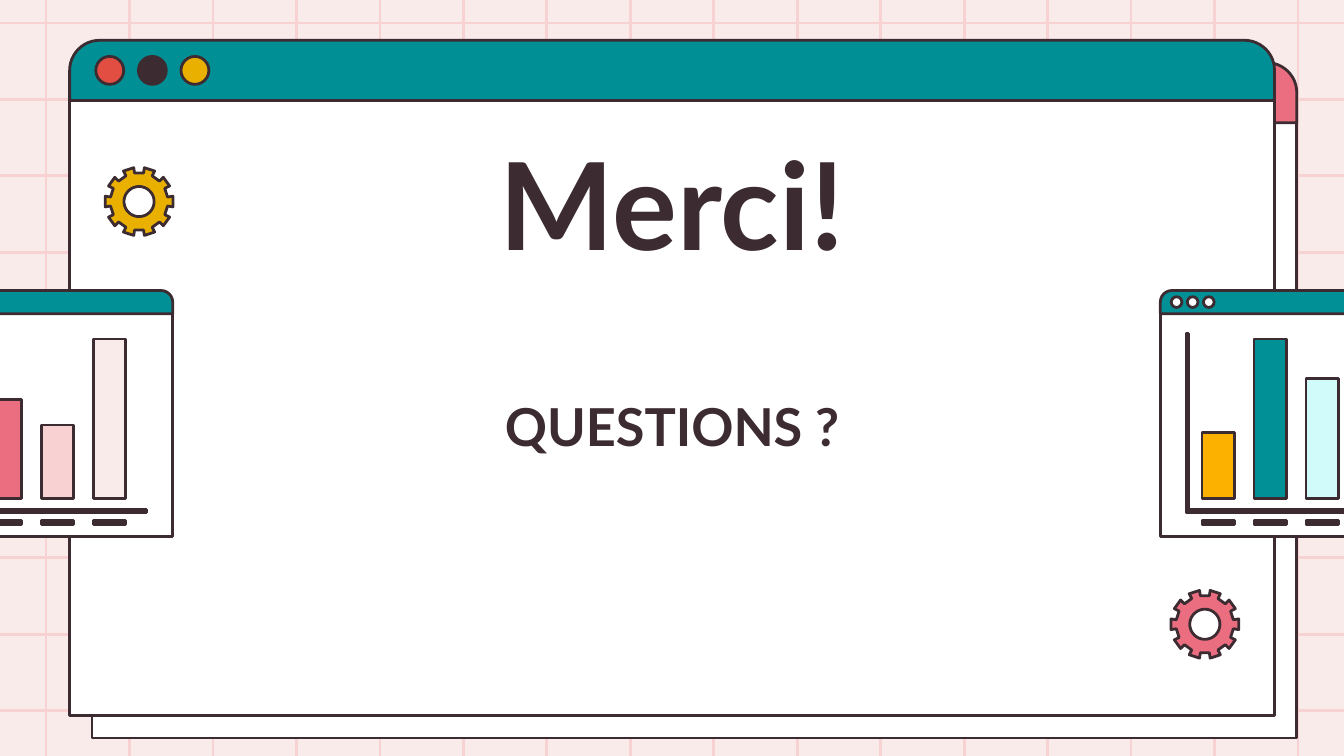
from dataclasses import dataclass
from math import cos, radians, sin

from lxml.etree import SubElement
from pptx import Presentation
from pptx.dml.color import RGBColor
from pptx.enum.shapes import MSO_CONNECTOR, MSO_SHAPE
from pptx.enum.text import MSO_ANCHOR, PP_ALIGN
from pptx.oxml.ns import qn
from pptx.util import Emu, Inches, Pt

SLIDE_W = Inches(10)
SLIDE_H = Emu(SLIDE_W * 9 // 16)
CELL = SLIDE_W / 100


@dataclass(frozen=True)
class Theme:
    ink: str = "3C2C31"
    axis: str = "3E282C"
    paper: str = "FAEBEB"
    grid: str = "F8D2D2"
    white: str = "FFFFFF"
    teal: str = "008F95"
    chart_teal: str = "009096"
    aqua: str = "D1FAFB"
    pink: str = "EB6E80"
    red: str = "E24E42"
    yellow: str = "E9B000"
    amber: str = "FCB100"
    font: str = "Lato"
    title: float = 65
    subtitle: float = 28
    line: float = 1.5


@dataclass(frozen=True)
class Window:
    left: float
    top: float
    width: float
    bar: float
    body: float
    color: str


@dataclass(frozen=True)
class Dots:
    colors: tuple[str, ...]
    left: float
    top: float
    size: float
    pitch: float


@dataclass(frozen=True)
class Bar:
    slot: int
    height: float
    color: str


T = Theme()


def cells(n: float) -> Emu:
    return Emu(round(n * CELL))


def rgb(color: str) -> RGBColor:
    return RGBColor.from_string(color)


def paint(sp, color: str) -> None:
    sp.shadow.inherit = False
    sp.fill.solid()
    sp.fill.fore_color.rgb = rgb(color)
    sp.line.color.rgb = rgb(T.ink)
    sp.line.width = Pt(T.line)
    SubElement(sp.line._get_or_add_ln(), qn("a:round"))


def shape(s, kind: MSO_SHAPE, x: float, y: float, w: float, h: float, color: str):
    sp = s.shapes.add_shape(kind, cells(x), cells(y), cells(w), cells(h))
    paint(sp, color)
    return sp


def grid_line(s, x1: float, y1: float, x2: float, y2: float) -> None:
    c = s.shapes.add_connector(MSO_CONNECTOR.STRAIGHT, cells(x1), cells(y1), cells(x2), cells(y2))
    c.line.color.rgb = rgb(T.grid)
    c.line.width = Pt(T.line)
    SubElement(c._element.spPr, qn("a:effectLst"))


def window(s, win: Window, dots: Dots | None = None) -> None:
    shape(s, MSO_SHAPE.RECTANGLE, win.left, win.top + win.bar, win.width, win.body, T.white)
    bar = shape(s, MSO_SHAPE.ROUND_2_SAME_RECTANGLE, win.left, win.top, win.width, win.bar, win.color)
    bar.adjustments[0] = 0.5
    if dots:
        for i, color in enumerate(dots.colors):
            x = win.left + dots.left + i * dots.pitch
            shape(s, MSO_SHAPE.OVAL, x, win.top + dots.top, dots.size, dots.size, color)


def polygon(s, contours: list[list[tuple[float, float]]], color: str) -> None:
    outlines = [[(cells(x), cells(y)) for x, y in points] for points in contours]
    fb = s.shapes.build_freeform(*outlines[0][0])
    fb.add_line_segments(outlines[0][1:])
    for points in outlines[1:]:
        fb.move_to(*points[0])
        fb.add_line_segments(points[1:])
    paint(fb.convert_to_shape(), color)


def bar_chart(s, win: Window, bars: list[Bar]) -> None:
    x, y = win.left + 1.9, win.top + 3.2
    w, h, thick = 24.5, 13.3, 0.2
    polygon(s, [[(x, y), (x + thick, y), (x + thick, y + h - thick),
                 (x + w, y + h - thick), (x + w, y + h), (x, y + h)]], T.axis)
    for b in bars:
        left = win.left + 3.1 + 3.87 * b.slot
        shape(s, MSO_SHAPE.RECTANGLE, left, win.top + 15.5 - b.height, 2.4, b.height, b.color)
        shape(s, MSO_SHAPE.RECTANGLE, left, win.top + 17.1, 2.4, 0.3, T.axis)


def gear(s, cx: float, cy: float, color: str) -> None:
    def at(radius: float, angle: float) -> tuple[float, float]:
        return cx + radius * cos(radians(angle)), cy + radius * sin(radians(angle))

    tooth = [(2.15, -9), (2.55, -9), (2.55, 9), (2.15, 9)]
    rim = [at(radius, 36 * i + angle) for i in range(10) for radius, angle in tooth]
    hole = [at(1.12, -angle) for angle in range(0, 360, 6)]
    polygon(s, [rim, hole], color)


def text(s, words: str, y: float, h: float, size: float, spacing: float) -> None:
    tf = s.shapes.add_textbox(cells(25.7), cells(y), cells(48.6), cells(h)).text_frame
    tf.word_wrap = True
    tf.vertical_anchor = MSO_ANCHOR.TOP
    tf.margin_left = tf.margin_right = tf.margin_top = tf.margin_bottom = cells(1)
    p = tf.paragraphs[0]
    p.alignment = PP_ALIGN.CENTER
    p.line_spacing = spacing
    r = p.add_run()
    r.text = words
    r.font.name = T.font
    r.font.size = Pt(size)
    r.font.bold = True
    r.font.color.rgb = rgb(T.ink)


def main() -> None:
    prs = Presentation()
    prs.slide_width, prs.slide_height = SLIDE_W, SLIDE_H
    s = prs.slides.add_slide(prs.slide_layouts[6])
    s.background.fill.solid()
    s.background.fill.fore_color.rgb = rgb(T.paper)

    for i in range(16):
        x = 3.43 + 93.15 * i / 15
        grid_line(s, x, 58.2, x, -3.6)
    for i in range(10):
        y = 1.72 + 51.15 * i / 9
        grid_line(s, -2.2, y, 102.2, y)

    buttons = Dots((T.red, T.ink, T.yellow), 1.95, 1.2, 2.08, 3.17)
    for left, top, color in ((6.84, 4.66, T.pink), (5.18, 3, T.teal)):
        window(s, Window(left, top, 89.65, 4.48, 45.77, color), buttons)

    right = Window(86.34, 21.62, 28.33, 1.72, 16.58, T.chart_teal)
    window(s, right, Dots((T.white,) * 3, 0.8, 0.46, 0.8, 1.2))
    bar_chart(s, right, [Bar(0, 4.92, T.amber), Bar(1, 11.9, T.chart_teal), Bar(2, 8.96, T.aqua)])

    left = Window(-15.48, 21.62, 28.33, 1.72, 16.58, T.chart_teal)
    window(s, left)
    bar_chart(s, left, [Bar(3, 7.4, T.pink), Bar(4, 5.5, T.grid), Bar(5, 11.9, T.paper)])

    gear(s, 89.65, 46.45, T.pink)
    gear(s, 10.35, 15, T.yellow)

    text(s, "Merci!", 8.6, 11.6, T.title, 1.0)
    text(s, "QUESTIONS ?", 27.64, 12.2, T.subtitle, 1.15)
    prs.save("out.pptx")


if __name__ == "__main__":
    main()
